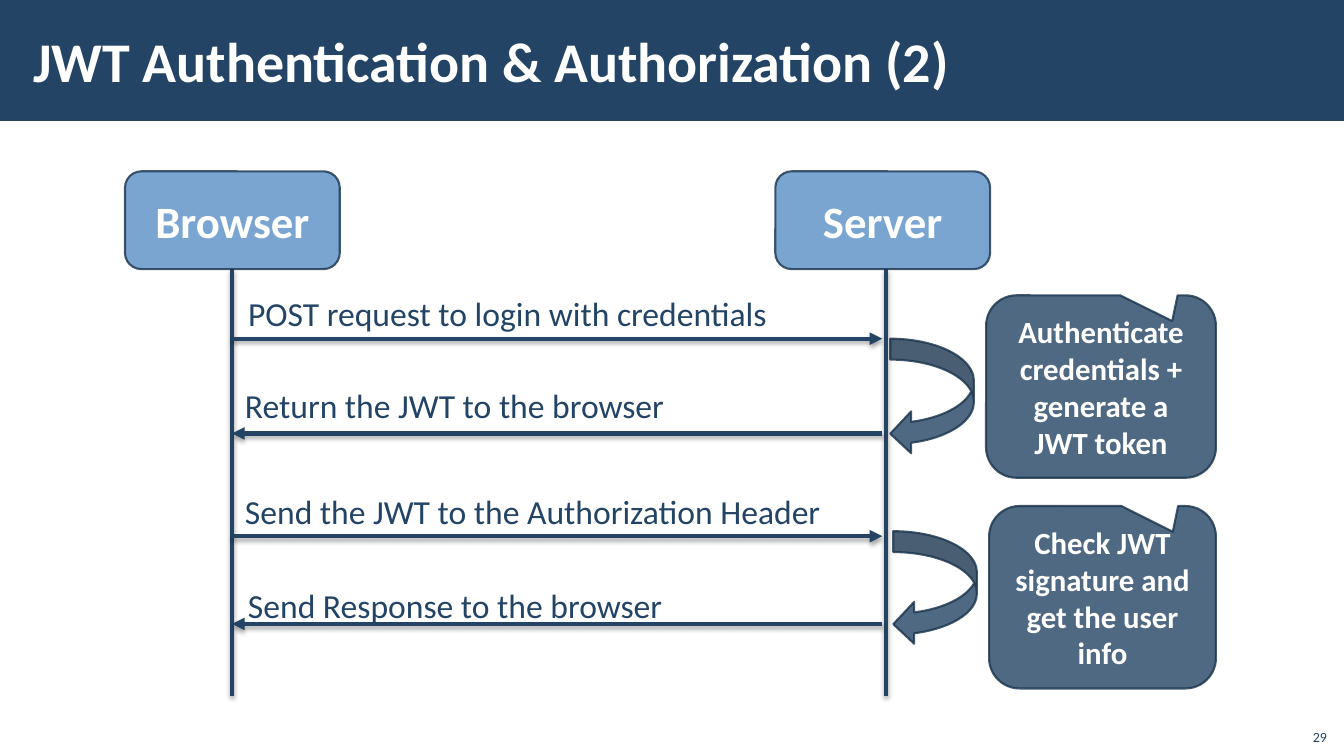
from lxml import etree
from pptx import Presentation
from pptx.dml.color import RGBColor
from pptx.enum.shapes import MSO_CONNECTOR, MSO_SHAPE
from pptx.enum.text import MSO_ANCHOR, MSO_AUTO_SIZE, PP_ALIGN
from pptx.oxml.ns import qn
from pptx.util import Inches, Pt

FONT = "Calibri"
COLORS = {"navy": "234465", "blue": "588FC5", "edge": "1A334C",
          "white": "FFFFFF", "black": "000000"}
LIFE_TOP, LIFE_END = 2.67, 6.9
LEFT, RIGHT = 2.3, 8.75

HEADS = [("Browser", 1.24), ("Server", 7.69)]
# text, text left, text top, text width, arrow height, goes to the server
CALLS = [
    ("POST request to login with credentials", 2.3, 2.75, 5.75, 3.36, True),
    ("Return the JWT to the browser", 2.27, 3.66, 5.75, 4.3, False),
    ("Send the JWT to the Authorization Header", 2.27, 4.71, 6.17, 5.32, True),
    ("Send Response to the browser", 2.3, 5.64, 6.17, 6.19, False),
]
# text, loop box, callout box
STEPS = [
    ("Authenticate credentials + generate a JWT token",
     (8.83, 3.36, 0.83, 1.15), (9.78, 2.93, 2.28, 1.81)),
    ("Check JWT signature and get the user info",
     (8.86, 5.27, 0.83, 1.13), (9.81, 5.02, 2.25, 1.81)),
]


def rgb(name):
    return RGBColor.from_string(COLORS[name])


def inches(box):
    return [Inches(n) for n in box]


def write(shape, text, size, color="white", bold=False, align=PP_ALIGN.LEFT,
          anchor=MSO_ANCHOR.MIDDLE, pad=(0.1, 0.05)):
    frame = shape.text_frame
    frame.word_wrap = True
    frame.auto_size = MSO_AUTO_SIZE.NONE
    frame.vertical_anchor = anchor
    frame.margin_left = frame.margin_right = Inches(pad[0])
    frame.margin_top = frame.margin_bottom = Inches(pad[1])
    frame.text = text
    para = frame.paragraphs[0]
    para.alignment = align
    font = para.font
    font.name, font.size, font.bold = FONT, Pt(size), bold
    font.color.rgb = rgb(color)
    return para


def add_block(slide, kind, box, fill):
    """Add a shape whose fill and outline are 80 percent opaque."""
    shape = slide.shapes.add_shape(kind, *inches(box))
    shape.shadow.inherit = False
    shape.fill.solid()
    shape.fill.fore_color.rgb = rgb(fill)
    shape.line.color.rgb = rgb("edge")
    shape.line.width = Pt(1.5)
    for color in shape.element.spPr.iter(qn("a:srgbClr")):
        etree.SubElement(color, qn("a:alpha"), val="80000")
    return shape


def add_line(slide, start, end, arrow=False):
    line = slide.shapes.add_connector(
        MSO_CONNECTOR.STRAIGHT, *inches(start + end))
    line.line.color.rgb = rgb("navy")
    line.line.width = Pt(3)
    if arrow:
        etree.SubElement(line.line._get_or_add_ln(), qn("a:tailEnd"),
                         type="triangle")
    effects = etree.SubElement(line.element.spPr, qn("a:effectLst"))
    shadow = etree.SubElement(
        effects, qn("a:outerShdw"), blurRad=str(Pt(3.1)), dist=str(Pt(1.8)),
        dir="5400000", rotWithShape="0")
    color = etree.SubElement(shadow, qn("a:srgbClr"), val=COLORS["black"])
    etree.SubElement(color, qn("a:alpha"), val="35000")


def add_title(slide, box, text):
    left, top, width, height = box
    bar = slide.shapes.add_shape(MSO_SHAPE.RECTANGLE, *inches(box))
    bar.shadow.inherit = False
    bar.fill.solid()
    bar.fill.fore_color.rgb = rgb("navy")
    bar.line.fill.background()
    title = slide.shapes.title
    title.element.addprevious(bar.element)
    title.left, title.top, title.width, title.height = inches(
        (left + 0.21, top + 0.11, width - 2.71, height - 0.23))
    write(title, text, 40, bold=True, pad=(0.12, 0.04))


def add_number(slide, box, text):
    label = slide.shapes.add_textbox(*inches(box))
    write(label, text, 10, "navy", align=PP_ALIGN.RIGHT,
          anchor=MSO_ANCHOR.BOTTOM)


def add_head(slide, box, text):
    head = add_block(slide, MSO_SHAPE.ROUNDED_RECTANGLE, box, "blue")
    write(head, text, 32, bold=True, align=PP_ALIGN.CENTER)


def add_call(slide, box, text, level, ahead):
    ends = [(LEFT, level), (RIGHT, level)]
    start, end = ends if ahead else reversed(ends)
    add_line(slide, start, end, arrow=True)
    label = slide.shapes.add_textbox(*inches(box))
    para = write(label, text, 24, "navy", anchor=MSO_ANCHOR.TOP,
                 pad=(0.16, 0.12))
    para.line_spacing = 1.1


def add_step(slide, loop, box, text):
    add_block(slide, MSO_SHAPE.CURVED_LEFT_ARROW, loop, "navy")
    note = add_block(slide, MSO_SHAPE.ROUNDED_RECTANGULAR_CALLOUT, box, "navy")
    for i, value in enumerate((0.31, -0.359, 0.167)):
        note.adjustments[i] = value
    write(note, text, 22, bold=True, align=PP_ALIGN.CENTER)


def main():
    deck = Presentation()
    deck.slide_width, deck.slide_height = Inches(13.33), Inches(7.5)
    slide = deck.slides.add_slide(deck.slide_layouts[5])
    add_title(slide, (0, 0, 13.34, 1.2),
              "JWT Authentication & Authorization (2)")
    add_number(slide, (12.86, 7.12, 0.4, 0.32), "29")
    for x in (LEFT, RIGHT + 0.04):
        add_line(slide, (x, LIFE_END), (x, LIFE_TOP))
    for text, x in HEADS:
        add_head(slide, (x, LIFE_TOP - 0.97, 2.13, 0.97), text)
    for text, x, y, width, level, ahead in CALLS:
        add_call(slide, (x, y, width, 0.66), text, level, ahead)
    for text, loop, box in STEPS:
        add_step(slide, loop, box, text)
    deck.save("out.pptx")


if __name__ == "__main__":
    main()
